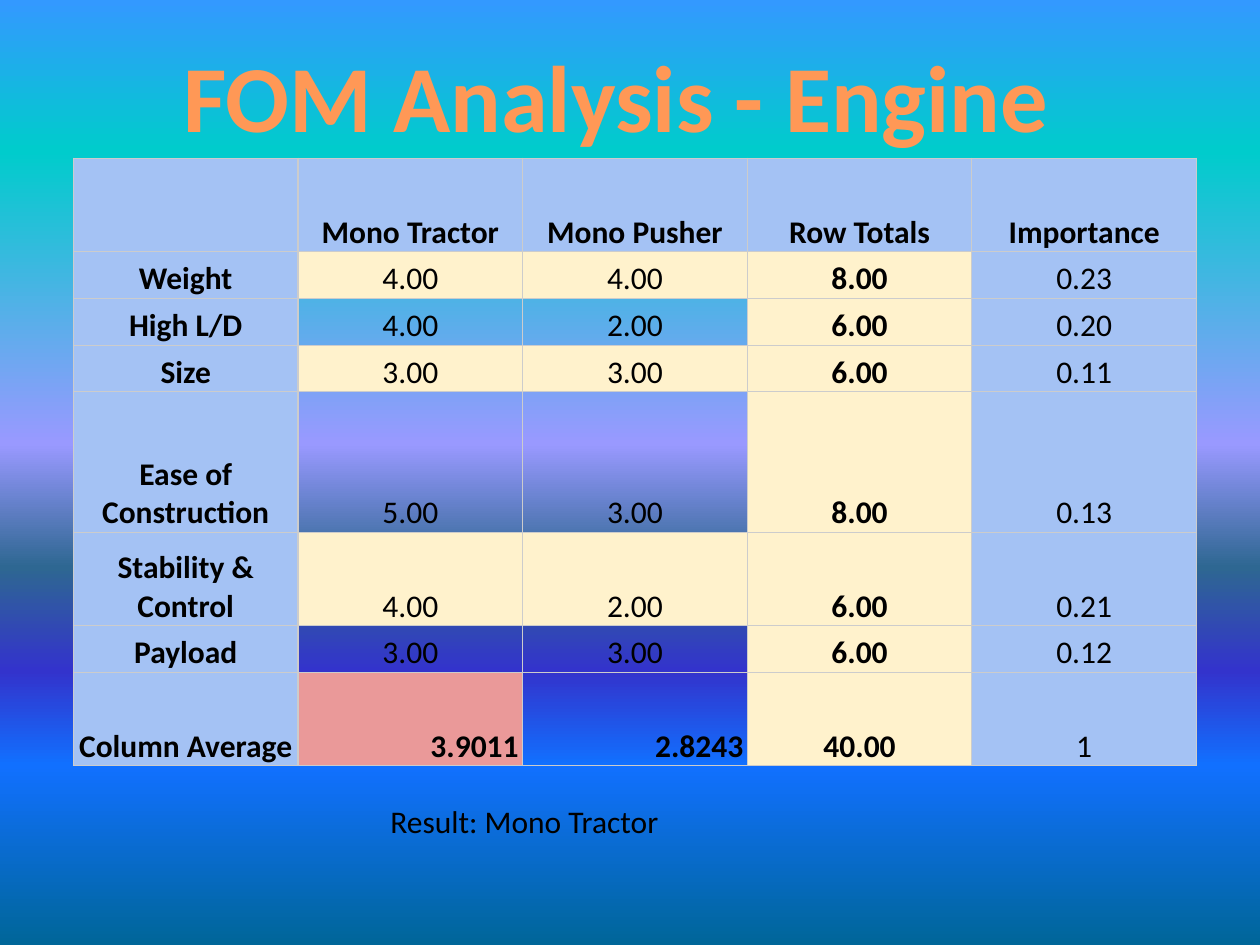
"""Build the engine figure-of-merit slide."""
from lxml import etree
from pptx import Presentation
from pptx import util as u
from pptx.dml.color import RGBColor
from pptx.enum import text
from pptx.oxml import ns

BLACK = RGBColor(0x00, 0x00, 0x00)
BLUE = RGBColor(0xA4, 0xC2, 0xF4)
CREAM = RGBColor(0xFF, 0xF2, 0xCC)
ROSE = RGBColor(0xEA, 0x99, 0x99)
GREY = RGBColor(0xCC, 0xCC, 0xCC)
SKY_STOPS = [
    (0, RGBColor(0x33, 0x99, 0xFF)),
    (16, RGBColor(0x00, 0xCC, 0xCC)),
    (47, RGBColor(0x99, 0x99, 0xFF)),
    (60, RGBColor(0x2E, 0x67, 0x92)),
    (71, RGBColor(0x33, 0x33, 0xCC)),
    (81, RGBColor(0x11, 0x70, 0xFF)),
    (100, RGBColor(0x00, 0x66, 0x99)),
]
TITLE_STOPS = [
    (0, RGBColor(0x9D, 0x47, 0x00)),
    (78, RGBColor(0xFF, 0x98, 0x56)),
    (100, RGBColor(0xFF, 0xF5, 0xF1)),
]
CENTER = text.PP_ALIGN.CENTER
RIGHT = text.PP_ALIGN.RIGHT
BODY = {"name": "Calibri", "size": u.Pt(18)}
HEADING = {"name": "Calibri", "size": u.Pt(54), "bold": True}
CELL = {
    "margin_left": u.Cm(0.08),
    "margin_right": u.Cm(0.08),
    "margin_top": 0,
    "margin_bottom": 0,
    "vertical_anchor": text.MSO_ANCHOR.BOTTOM,
}
ROWS = [
    ("", "Mono Tractor", "Mono Pusher", "Row Totals", "Importance"),
    ("Weight", "4.00", "4.00", "8.00", "0.23"),
    ("High L/D", "4.00", "2.00", "6.00", "0.20"),
    ("Size", "3.00", "3.00", "6.00", "0.11"),
    ("Ease of Construction", "5.00", "3.00", "8.00", "0.13"),
    ("Stability & Control", "4.00", "2.00", "6.00", "0.21"),
    ("Payload", "3.00", "3.00", "6.00", "0.12"),
    ("Column Average", "3.9011", "2.8243", "40.00", "1"),
]
ROW_UNITS = [2, 1, 1, 1, 3, 2, 1, 2]


def set_attributes(target, values):
    """Set every named value on the target."""
    for name, value in values.items():
        setattr(target, name, value)


def add_color(parent, color):
    """Append an RGB colour element."""
    etree.SubElement(parent, ns.qn("a:srgbClr"), val=str(color))


def set_gradient(fill, owner, stops):
    """Give the fill inside the owner element a vertical gradient."""
    fill.gradient()
    gradient = owner.find(".//" + ns.qn("a:gradFill"))
    for child in list(gradient):
        gradient.remove(child)
    stop_list = etree.SubElement(gradient, ns.qn("a:gsLst"))
    for position, color in stops:
        stop = etree.SubElement(stop_list, ns.qn("a:gs"), pos=str(position * 1000))
        add_color(stop, color)
    etree.SubElement(gradient, ns.qn("a:lin"), ang="5400000", scaled="0")


def set_borders(cell):
    """Draw a thin grey line on all four sides of a cell."""
    properties = cell._tc.get_or_add_tcPr()
    for index, side in enumerate(("lnL", "lnR", "lnT", "lnB")):
        line = etree.Element(ns.qn("a:" + side), w=str(u.Pt(0.75)))
        add_color(etree.SubElement(line, ns.qn("a:solidFill")), GREY)
        properties.insert(index, line)


def add_text(slide, box, wording, wrap, alignment, font):
    """Add a one-line text box and return its run."""
    frame = slide.shapes.add_textbox(*box).text_frame
    set_attributes(frame, {"word_wrap": wrap, "auto_size": text.MSO_AUTO_SIZE.SHAPE_TO_FIT_TEXT})
    paragraph = frame.paragraphs[0]
    paragraph.alignment = alignment
    run = paragraph.add_run()
    run.text = wording
    set_attributes(run.font, font)
    return run


def add_title(slide, box):
    """Add the gradient heading."""
    run = add_text(slide, box, "FOM Analysis - Engine", False, CENTER, HEADING)
    set_gradient(run.font.fill, run._r, TITLE_STOPS)


def add_result(slide, box):
    """Add the line that names the winner."""
    run = add_text(slide, box, "Result: Mono Tractor", True, text.PP_ALIGN.LEFT, BODY)
    run.font.color.rgb = BLACK


def cell_color(row, column):
    """Return the fill colour of a cell, or None for a clear one."""
    if row == 0 or column in (0, 4):
        return BLUE
    if column == 3 or row in (1, 3, 5):
        return CREAM
    return ROSE if (row, column) == (7, 1) else None


def format_cell(cell, wording, row, column):
    """Fill in and style one table cell."""
    set_attributes(cell, CELL)
    set_borders(cell)
    color = cell_color(row, column)
    if color is None:
        cell.fill.background()
    else:
        cell.fill.solid()
        cell.fill.fore_color.rgb = color
    if not wording:
        return
    paragraph = cell.text_frame.paragraphs[0]
    paragraph.alignment = RIGHT if row == 7 and column in (1, 2) else CENTER
    run = paragraph.add_run()
    run.text = wording
    bold = row == 0 or column in (0, 3) or (row == 7 and column < 4)
    set_attributes(run.font, {**BODY, "bold": bold})
    run.font.color.rgb = BLACK


def add_scores(slide, box):
    """Add the score table, with rows sized in whole units."""
    left, top, width, height = box
    table = slide.shapes.add_table(len(ROWS), len(ROWS[0]), left, top, width, height).table
    set_attributes(table, {"first_row": False, "horz_banding": False})
    for column in table.columns:
        column.width = int(width / len(ROWS[0]))
    for row, units in enumerate(ROW_UNITS):
        table.rows[row].height = int(height * units / sum(ROW_UNITS))
        for column, wording in enumerate(ROWS[row]):
            format_cell(table.cell(row, column), wording, row, column)


def build():
    """Assemble and save the slide."""
    presentation = Presentation()
    set_attributes(presentation, {"slide_width": u.Cm(25.4), "slide_height": u.Cm(19.05)})
    slide = presentation.slides.add_slide(presentation.slide_layouts[6])
    set_gradient(slide.background.fill, slide.element, SKY_STOPS)
    add_title(slide, (u.Cm(3.35), u.Cm(0.64), u.Cm(18.14), u.Cm(2.57)))
    add_result(slide, (u.Cm(7.62), u.Cm(16.05), u.Cm(8.69), u.Cm(1.03)))
    add_scores(slide, (u.Cm(1.48), u.Cm(3.19), u.Cm(22.64), u.Cm(12.25)))
    presentation.save("out.pptx")


build()
